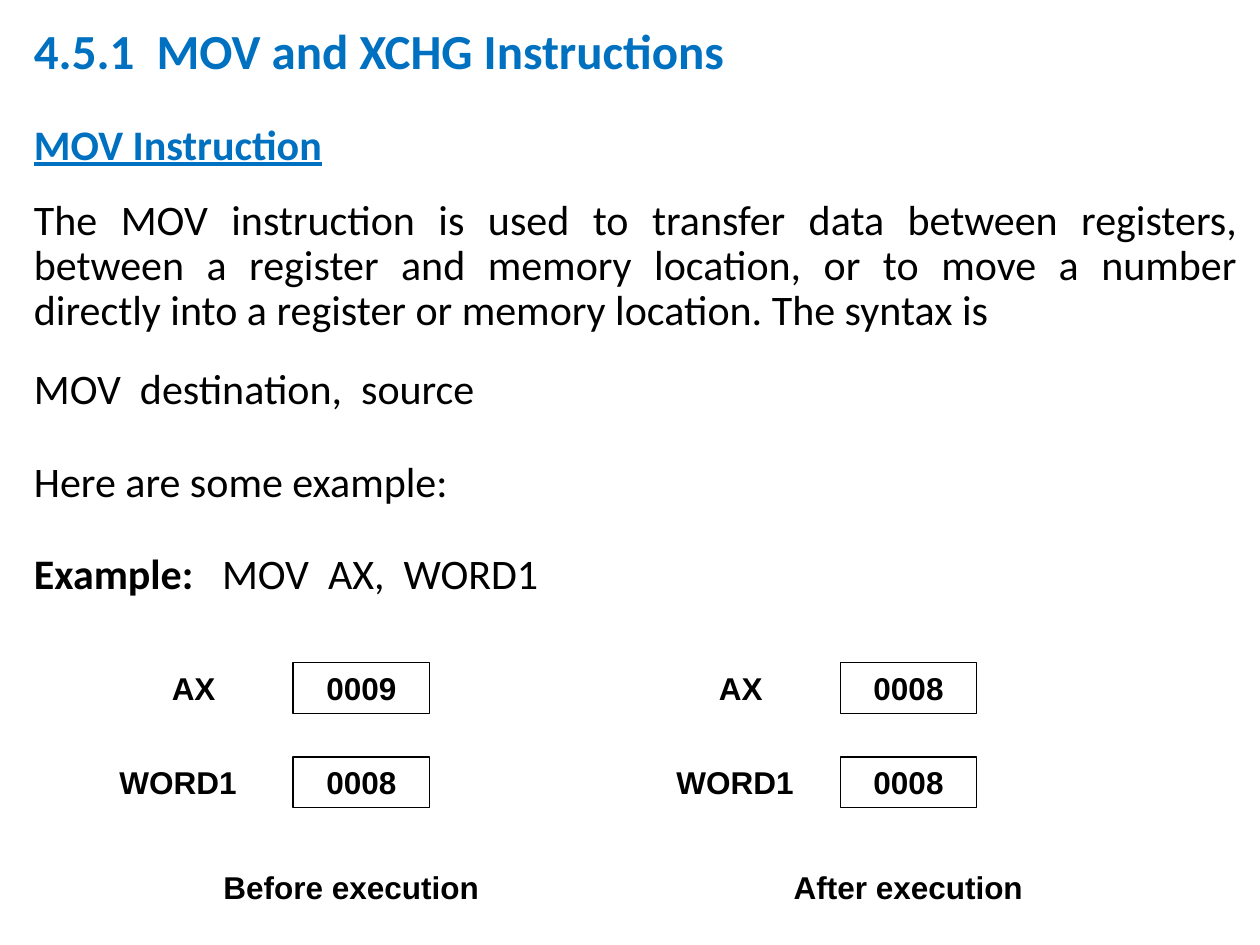
from dataclasses import dataclass

from pptx import Presentation
from pptx.dml.color import RGBColor
from pptx.enum.shapes import MSO_SHAPE as Shape
from pptx.enum.text import MSO_ANCHOR as Anchor, MSO_AUTO_SIZE as AutoSize, PP_ALIGN as Align
from pptx.oxml.ns import qn
from pptx.util import Cm, Pt


@dataclass(frozen=True)
class Theme:
    accent: RGBColor = RGBColor(0x00, 0x70, 0xC0)
    ink: RGBColor = RGBColor(0, 0, 0)
    paper: RGBColor = RGBColor(0xFF, 0xFF, 0xFF)
    prose_font: str = "Calibri"
    cell_font: str = "Arial"
    title_size: int = 28
    prose_size: int = 24
    cell_size: int = 18


@dataclass(frozen=True)
class Box:
    left: float
    top: float
    width: float
    height: float

    def inner(self, left, top, width, height):
        return Box(self.left + left, self.top + top, width, height)

    def lengths(self):
        return [Cm(value) for value in (self.left, self.top, self.width, self.height)]


THEME = Theme()
ROW_HEIGHT = 1.02
ROW_PITCH = 1.9
CELL_WIDTH = 2.75
LABEL_WIDTH = 3.38

PROSE = [
    (0, [("MOV Instruction", THEME.accent, True, True)]),
    (17, [("The MOV instruction is used to transfer data between registers, "
           "between a register and memory location, or to move a number directly "
           "into a register or memory location. The syntax is", THEME.ink, False, False)]),
    (19, [("MOV  destination,  source", THEME.ink, False, False)]),
    (27, [("Here are some example:", THEME.ink, False, False)]),
    (27, [("Example:", THEME.ink, True, False),
          ("   MOV  AX,  WORD1", THEME.ink, False, False)]),
]


def add_span(para, text, font, size, color, bold=False, underline=False):
    span = para.add_run()
    span.text = text
    span.font.name = font
    span.font.size = Pt(size)
    span.font.color.rgb = color
    span.font.bold = bold
    span.font.underline = underline


def place_text(holder, box):
    holder.left, holder.top, holder.width, holder.height = box.lengths()
    frame = holder.text_frame
    frame.auto_size = AutoSize.NONE
    frame.word_wrap = True
    frame.vertical_anchor = Anchor.TOP
    return frame


def set_prose_format(para, gap):
    para.alignment = Align.JUSTIFY
    para.line_spacing = 0.9
    para.space_before = Pt(gap)
    props = para._p.get_or_add_pPr()
    props.set("marL", "0")
    props.set("indent", "0")
    props.append(props.makeelement(qn("a:buNone"), {}))


def fill_title(holder, box):
    para = place_text(holder, box).paragraphs[0]
    set_prose_format(para, 0)
    add_span(para, "4.5.1  MOV and XCHG Instructions", THEME.prose_font,
             THEME.title_size, THEME.accent, True)


def fill_prose(holder, box):
    frame = place_text(holder, box)
    for index, (gap, spans) in enumerate(PROSE):
        para = frame.add_paragraph() if index else frame.paragraphs[0]
        set_prose_format(para, gap)
        for text, color, bold, underline in spans:
            add_span(para, text, THEME.prose_font, THEME.prose_size, color, bold, underline)


def add_cell(page, box, text, outline):
    cell = page.shapes.add_shape(Shape.RECTANGLE, *box.lengths())
    cell.shadow.inherit = False
    cell.fill.background()
    cell.line.color.rgb = outline
    cell.line.width = Pt(0.75)
    frame = cell.text_frame
    frame.word_wrap = True
    frame.vertical_anchor = Anchor.MIDDLE
    para = frame.paragraphs[0]
    para.alignment = Align.CENTER
    add_span(para, text, THEME.cell_font, THEME.cell_size, THEME.ink, True)


def add_state(page, box, value_left, ax_value, word_value, caption):
    rows = [
        ("AX", value_left - LABEL_WIDTH, CELL_WIDTH, ax_value),
        ("WORD1", 0, LABEL_WIDTH, word_value),
    ]
    for index, (label, label_left, label_width, value) in enumerate(rows):
        top = index * ROW_PITCH
        add_cell(page, box.inner(label_left, top, label_width, ROW_HEIGHT), label, THEME.paper)
        add_cell(page, box.inner(value_left, top, CELL_WIDTH, ROW_HEIGHT), value, THEME.ink)
    caption_box = box.inner(1.9, box.height - ROW_HEIGHT, box.width - 1.9, ROW_HEIGHT)
    add_cell(page, caption_box, caption, THEME.paper)


def main():
    deck = Presentation()
    deck.slide_width, deck.slide_height = Cm(25.4), Cm(19.05)
    page = deck.slides.add_slide(deck.slide_layouts[1])
    fill_title(page.shapes.title, Box(0.43, 0.43, 24.77, 1.4))
    fill_prose(page.placeholders[1], Box(0.43, 2.37, 24.77, 9.9))
    add_state(page, Box(1.9, 13.36, 8.46, 5.03), 4.01, "0009", "0008", "Before execution")
    add_state(page, Box(13.13, 13.36, 8.46, 5.03), 3.81, "0008", "0008", "After execution")
    deck.save("out.pptx")


if __name__ == "__main__":
    main()
